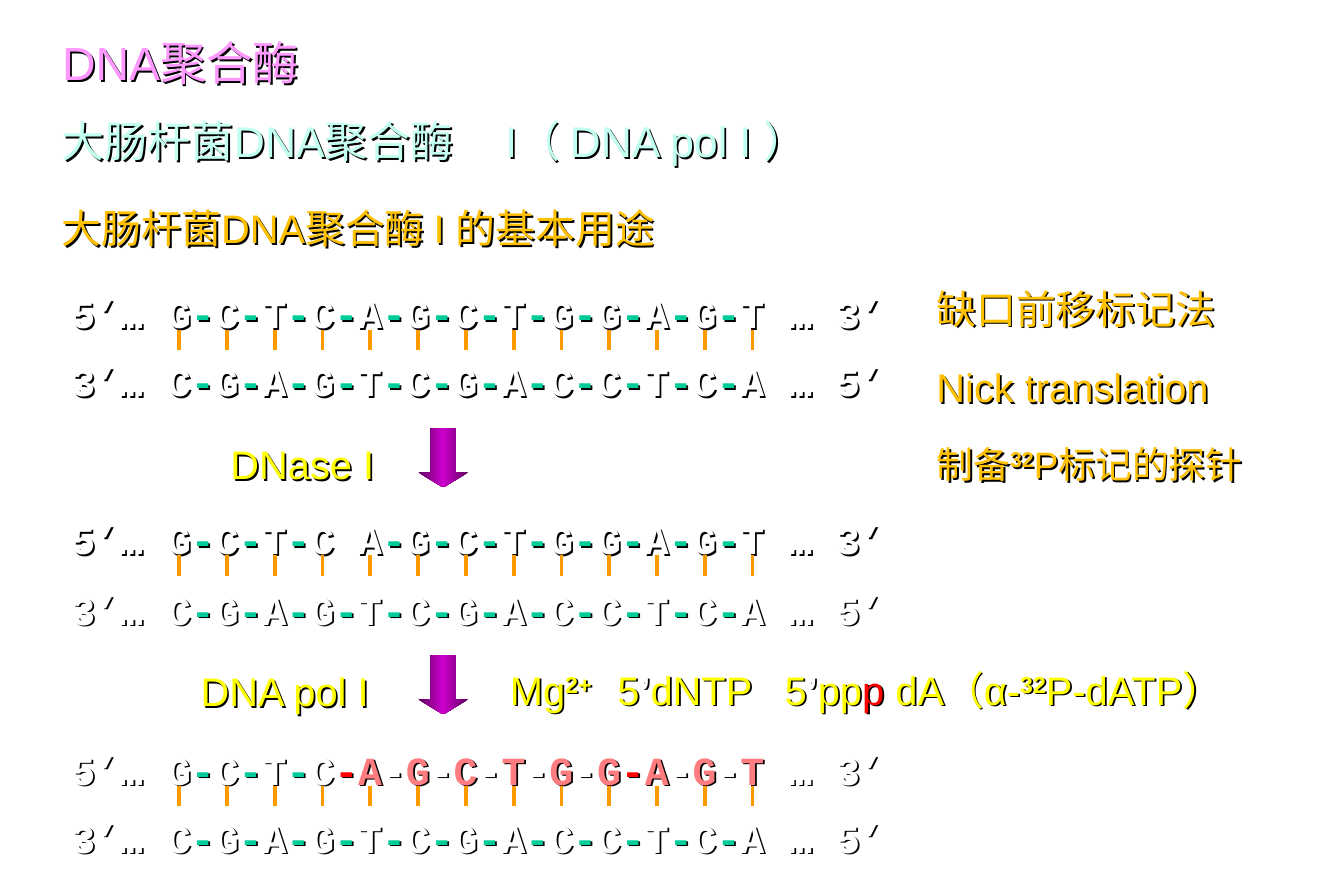
from itertools import groupby

from lxml.etree import SubElement
from pptx import Presentation
from pptx.dml.color import RGBColor
from pptx.enum.shapes import MSO_CONNECTOR, MSO_SHAPE
from pptx.enum.text import MSO_ANCHOR, MSO_AUTO_SIZE, PP_ALIGN
from pptx.oxml import parse_xml
from pptx.oxml.ns import nsdecls, qn
from pptx.util import Inches, Pt

PINK = RGBColor(0xFF, 0x99, 0xFF)
MINT = RGBColor(0xC2, 0xFF, 0xF0)
GOLD = RGBColor(0xFF, 0xC0, 0x00)
YELLOW = RGBColor(0xFF, 0xFF, 0x00)
WHITE = RGBColor(0xFF, 0xFF, 0xFF)
BLACK = RGBColor(0x00, 0x00, 0x00)
GREEN = RGBColor(0x00, 0xCC, 0x99)
RED = RGBColor(0xFF, 0x00, 0x00)
SALMON = RGBColor(0xFF, 0x7C, 0x80)
ORANGE = RGBColor(0xFF, 0x99, 0x00)
PURPLE = RGBColor(0xCC, 0x00, 0xCC)
DARK_PURPLE = RGBColor(0x5E, 0x00, 0x5E)

CJK = "Noto Sans CJK SC"
BASES = 13
TOP_STRAND = "5’… G-C-T-C-A-G-C-T-G-G-A-G-T … 3’"
BOTTOM_STRAND = "3’… C-G-A-G-T-C-G-A-C-C-T-C-A … 5’"


def add_run(p, text, color, size, font, bold=False, raised=False):
    r = p.add_run()
    r.text = text
    r.font.size, r.font.bold, r.font.name = Pt(size), bold, font
    r.font.color.rgb = color
    rPr = r.font._element
    if raised:
        rPr.set("baseline", "30000")
    rPr.find(qn("a:latin")).addnext(
        parse_xml(f'<a:ea {nsdecls("a")} typeface="{CJK}"/>'))


def add_text_shadow(sp):
    sp.fill.background()
    effects = SubElement(sp._element.spPr, qn("a:effectLst"))
    shadow = SubElement(effects, qn("a:outerShdw"), dist=str(Pt(1.5)), dir="2700000",
                        algn="tl", rotWithShape="0")
    SubElement(shadow, qn("a:srgbClr"), val=str(BLACK))


def fill_text(sp, box, runs, size=24, font="Arial", spacing=1.4, tabs=()):
    sp.left, sp.top, sp.width, sp.height = map(Inches, box)
    add_text_shadow(sp)
    tf = sp.text_frame
    tf.word_wrap = True
    tf.auto_size = MSO_AUTO_SIZE.NONE
    tf.vertical_anchor = MSO_ANCHOR.TOP
    tf.margin_left = tf.margin_right = Inches(0.1)
    tf.margin_top = tf.margin_bottom = Inches(0.05)
    p = tf.paragraphs[0]
    p.alignment, p.line_spacing = PP_ALIGN.LEFT, spacing
    if tabs:
        tab_list = SubElement(p._p.get_or_add_pPr(), qn("a:tabLst"))
        for pos in tabs:
            SubElement(tab_list, qn("a:tab"), pos=str(Inches(pos)), algn="l")
    for text, color, *style in runs:
        add_run(p, text, color, size, font, *style)


def add_label(s, box, runs, **style):
    fill_text(s.shapes.add_textbox(0, 0, 0, 0), box, runs, **style)


def strand_runs(text, base=WHITE, bond=GREEN):
    return [("".join(chars), bond if is_bond else base, True)
            for is_bond, chars in groupby(text, lambda c: c == "-")]


def add_duplex(s, x, y, top_runs, gap=0.57):
    for top, runs in ((y, top_runs), (y + gap, strand_runs(BOTTOM_STRAND))):
        add_label(s, (x, top, 7.24, 0.77), runs, font="Courier New", spacing=1.5)
    for i in range(BASES):
        tick_x = Inches(x + 1 + 0.4 * i)
        tick = s.shapes.add_connector(MSO_CONNECTOR.STRAIGHT, tick_x, Inches(y + 0.59),
                                      tick_x, Inches(y + 0.76))
        tick.line.color.rgb, tick.line.width = ORANGE, Pt(2.25)
        SubElement(tick._element.spPr, qn("a:effectLst"))


def add_step(s, y, enzyme, enzyme_x):
    arrow = s.shapes.add_shape(MSO_SHAPE.DOWN_ARROW, Inches(3.5), Inches(y + 0.15),
                               Inches(0.42), Inches(0.5))
    arrow.shadow.inherit = False
    arrow.adjustments[0], arrow.adjustments[1] = 0.5, 0.3
    arrow.line.fill.background()
    arrow.fill.gradient()
    arrow.fill.gradient_angle = 0
    stops = arrow._element.spPr.find(qn("a:gradFill")).find(qn("a:gsLst"))
    for stop in list(stops):
        stops.remove(stop)
    for pos, color in ((0, DARK_PURPLE), (50000, PURPLE), (100000, DARK_PURPLE)):
        stop = SubElement(stops, qn("a:gs"), pos=str(pos))
        SubElement(stop, qn("a:srgbClr"), val=str(color))
    add_label(s, (enzyme_x, y, 1.75, 0.77), [(enzyme, YELLOW)], spacing=1.5)


def add_headings(s, x, y):
    fill_text(s.shapes.title, (x, y, 4, 0.77), [("DNA聚合酶", PINK)], size=28)
    add_label(s, (x, y + 0.69, 6.92, 0.77),
              [("大肠杆菌DNA聚合酶\tI（ DNA pol I ）", MINT)], size=25.9, tabs=(3.71,))
    add_label(s, (x, y + 1.45, 5.67, 0.67), [("大肠杆菌DNA聚合酶 I 的基本用途", GOLD)])


def add_method_notes(s, x, y):
    add_label(s, (x, y, 2.83, 0.67), [("缺口前移标记法", GOLD)], font=CJK)
    add_label(s, (x, y + 0.66, 2.67, 0.67), [("Nick translation", GOLD)])
    add_label(s, (x, y + 1.33, 3.08, 0.67),
              [("制备", GOLD), ("32", GOLD, True, True), ("P标记的探针", GOLD)], size=22.2)


def add_reagents(s, x, y):
    runs = [("Mg", YELLOW), ("2+", YELLOW, True, True), ("\t5", YELLOW),
            ("’", WHITE, True), ("dNTP\t5", YELLOW), ("’", WHITE, True),
            ("pp", YELLOW), ("p", RED), (" dA（α-", YELLOW),
            ("32", YELLOW, True, True), ("P-dATP）", YELLOW)]
    add_label(s, (x, y, 6.83, 0.77), runs, spacing=1.5, tabs=(0.9, 2.3))


def main():
    prs = Presentation()
    prs.slide_width, prs.slide_height = Inches(11.25), Inches(7.5)
    s = prs.slides.add_slide(prs.slide_layouts[5])
    add_headings(s, 0.42, 0.05)
    add_method_notes(s, 7.74, 2.17)
    add_duplex(s, 0.5, 2.17, strand_runs(TOP_STRAND))
    add_step(s, 3.43, "DNase I", 1.83)
    add_duplex(s, 0.5, 4.06, strand_runs(TOP_STRAND.replace("C-A", "C A")), gap=0.59)
    add_step(s, 5.33, "DNA pol I", 1.58)
    add_reagents(s, 4.17, 5.32)
    labelled = (strand_runs("5’… G-C-T-C") + [("-", RED, True)]
                + strand_runs("A-G-C-T-G-G", SALMON, WHITE) + [("-", RED, True)]
                + strand_runs("A-G-T", SALMON, WHITE) + [(" … 3’", WHITE, True)])
    add_duplex(s, 0.5, 5.99, labelled)
    prs.save("out.pptx")


if __name__ == "__main__":
    main()
